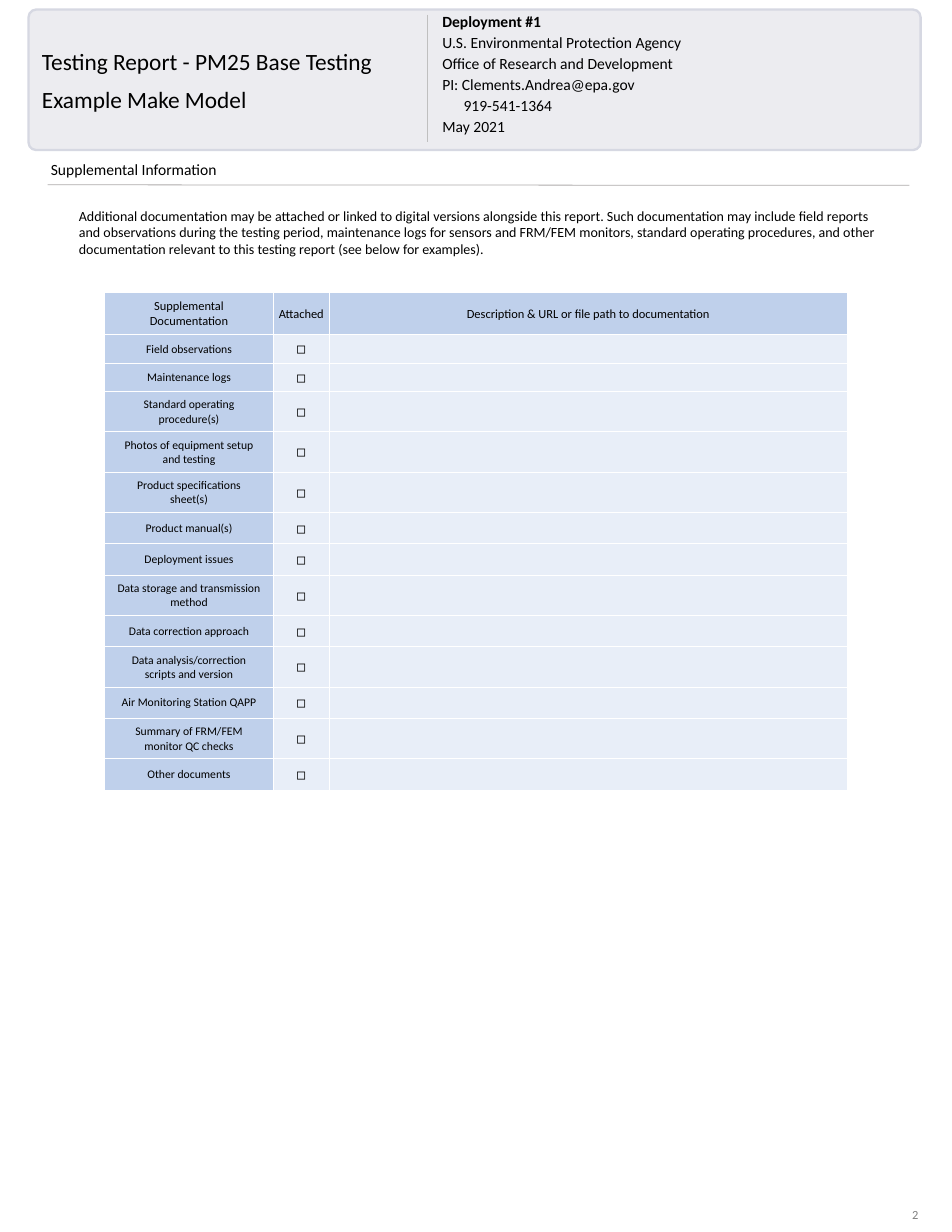
import pptx
import pptx.util
import pptx.dml.color
import pptx.enum.shapes
import pptx.enum.text
import pptx.oxml
import pptx.oxml.ns
import lxml.etree

Inches = pptx.util.Inches
Pt = pptx.util.Pt
RGBColor = pptx.dml.color.RGBColor
CENTER = pptx.enum.text.PP_ALIGN.CENTER
MIDDLE = pptx.enum.text.MSO_ANCHOR.MIDDLE

BLACK = RGBColor(0x00, 0x00, 0x00)
GRAY = RGBColor(0x80, 0x80, 0x80)
BANNER_FILL = RGBColor(0xEC, 0xEC, 0xF0)
BANNER_LINE = RGBColor(0xD6, 0xD8, 0xE2)
DIVIDER = RGBColor(0xBF, 0xBF, 0xBF)
SECTION_RULE = RGBColor(0xAF, 0xAB, 0xAB)
LABEL_FILL = RGBColor(0xBF, 0xD0, 0xEB)
ENTRY_FILL = RGBColor(0xE8, 0xEE, 0xF8)


def write_text(text_frame, text, size, color=BLACK):
    text_frame.text = text
    text_frame.word_wrap = True
    for paragraph in text_frame.paragraphs:
        for run in paragraph.runs:
            run.font.name = "Calibri"
            run.font.size = Pt(size)
            run.font.color.rgb = color


def add_text(left, top, width, height, text, size, color=BLACK):
    box = slide.shapes.add_textbox(Inches(left), Inches(top), Inches(width), Inches(height))
    write_text(box.text_frame, text, size, color)
    return box.text_frame.paragraphs


presentation = pptx.Presentation()
presentation.slide_width = Inches(17)
presentation.slide_height = Inches(22)
slide = presentation.slides.add_slide(presentation.slide_layouts[6])

banner = slide.shapes.add_shape(
    pptx.enum.shapes.MSO_SHAPE.ROUNDED_RECTANGLE,
    Inches(0.51), Inches(0.17), Inches(15.93), Inches(2.51))
banner.adjustments[0] = 0.055
banner.shadow.inherit = False
banner.fill.solid()
banner.fill.fore_color.rgb = BANNER_FILL
banner.line.color.rgb = BANNER_LINE
banner.line.width = Pt(3)

for x1, y1, x2, y2, color in [
    (7.63, 0.26, 7.63, 2.54, DIVIDER),
    (0.85, 3.3, 16.24, 3.31, SECTION_RULE),
]:
    rule = slide.shapes.add_connector(
        pptx.enum.shapes.MSO_CONNECTOR.STRAIGHT,
        Inches(x1), Inches(y1), Inches(x2), Inches(y2))
    rule.line.color.rgb = color
    rule.line.width = Pt(1)
    lxml.etree.SubElement(rule._element.spPr, pptx.oxml.ns.qn("a:effectLst"))

title = add_text(0.65, 0.85, 6.85, 1.11,
                 "Testing Report - PM25 Base Testing\nExample Make Model", 30)
for paragraph in title:
    paragraph.line_spacing = 0.9
title[1].space_before = Pt(17)

contact = add_text(7.8, 0.36, 4.77, 2.12, "\n".join([
    "Deployment #1",
    "U.S. Environmental Protection Agency",
    "Office of Research and Development",
    "PI: Clements.Andrea@epa.gov",
    "919-541-1364",
    "May 2021",
]), 20)
for paragraph in contact:
    paragraph.line_spacing = Pt(10)
for paragraph in contact[1:]:
    paragraph.space_before = Pt(17)
contact[0].runs[0].font.bold = True
contact[4]._p.get_or_add_pPr().set("marL", str(Inches(0.38)))

add_text(0.81, 2.81, 3.16, 0.44, "Supplemental Information", 20)
introduction = add_text(
    0.81, 3.65, 15.02, 1.28,
    "Additional documentation may be attached or linked to digital versions alongside this "
    "report. Such documentation may include field reports and observations during the testing "
    "period, maintenance logs for sensors and FRM/FEM monitors, standard operating procedures, "
    "and other documentation relevant to this testing report (see below for examples).", 18)
introduction[0]._p.get_or_add_pPr().set("marL", str(Inches(0.5)))
add_text(16.19, 21.5, 0.81, 0.5, "2", 16, GRAY)

headings = ["Supplemental Documentation", "Attached",
            "Description & URL or file path to documentation"]
documents = [
    ("Field observations", 0.52),
    ("Maintenance logs", 0.5),
    ("Standard operating procedure(s)", 0.72),
    ("Photos of equipment setup and testing", 0.72),
    ("Product specifications sheet(s)", 0.72),
    ("Product manual(s)", 0.56),
    ("Deployment issues", 0.56),
    ("Data storage and transmission method", 0.72),
    ("Data correction approach", 0.56),
    ("Data analysis/correction scripts and version", 0.72),
    ("Air Monitoring Station QAPP", 0.56),
    ("Summary of FRM/FEM monitor QC checks", 0.72),
    ("Other documents", 0.56),
]
rows = [(headings, 0.74)] + [([name, "◻", ""], height) for name, height in documents]

table = slide.shapes.add_table(
    len(rows), 3, Inches(1.87), Inches(5.22), Inches(13.26), Inches(8.88)).table
table.first_row = False
table.horz_banding = False
for column, width in zip(table.columns, [3.01, 1, 9.25]):
    column.width = Inches(width)

for row_index, (texts, height) in enumerate(rows):
    table.rows[row_index].height = Inches(height)
    for column_index, text in enumerate(texts):
        cell = table.cell(row_index, column_index)
        is_label = row_index == 0 or column_index == 0
        size = 16 if row_index == 0 else (15, 20, 16)[column_index]
        write_text(cell.text_frame, text, size)
        cell.text_frame.paragraphs[0].alignment = CENTER
        cell.vertical_anchor = MIDDLE
        side, top, bottom = (0.22, 0.11, 0.11) if column_index == 0 else (0.02, 0.02, 0)
        cell.margin_left = cell.margin_right = Inches(side)
        cell.margin_top = Inches(top)
        cell.margin_bottom = Inches(bottom)
        properties = cell._tc.get_or_add_tcPr()
        for edge in ("lnL", "lnR", "lnT", "lnB"):
            properties.append(pptx.oxml.parse_xml(
                f'<a:{edge} {pptx.oxml.ns.nsdecls("a")} w="{Pt(1.5)}"><a:solidFill>'
                f'<a:srgbClr val="FFFFFF"/></a:solidFill></a:{edge}>'))
        cell.fill.solid()
        cell.fill.fore_color.rgb = LABEL_FILL if is_label else ENTRY_FILL

presentation.save("out.pptx")
